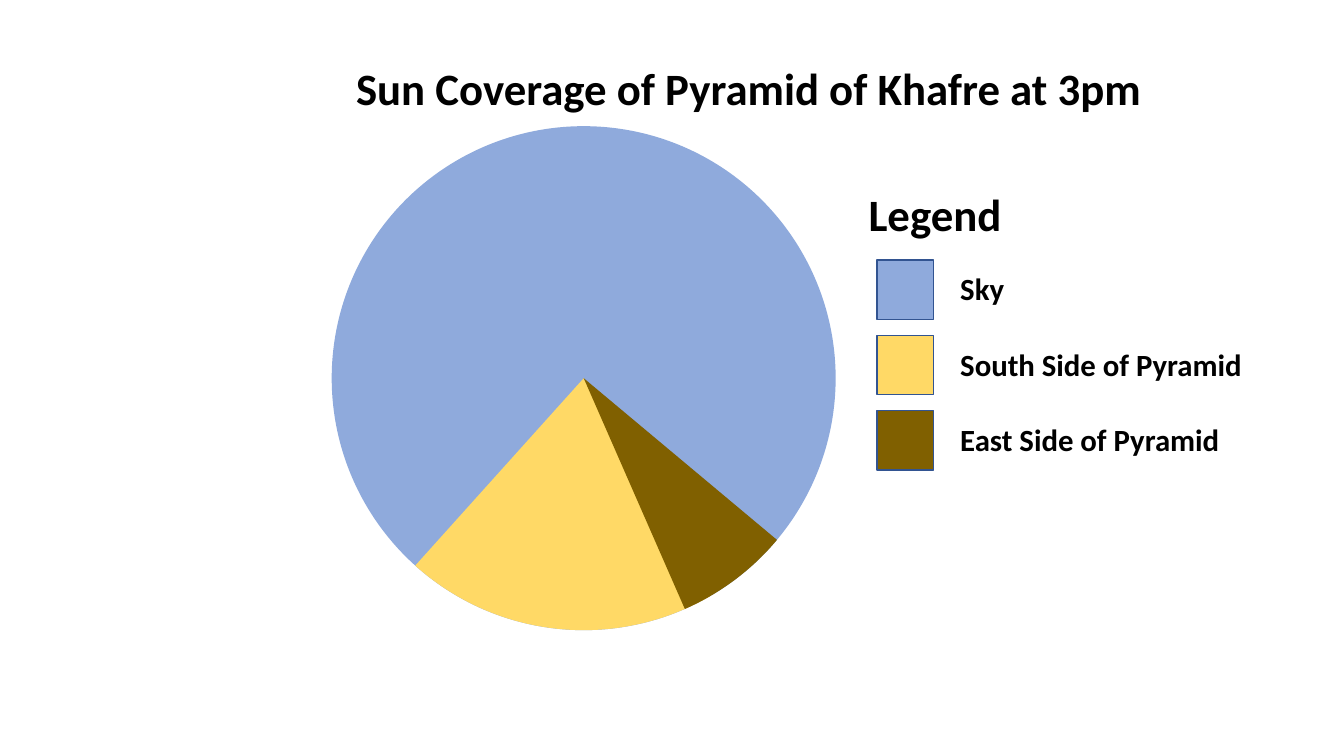
from pptx import Presentation
from pptx.dml.color import RGBColor
from pptx.enum.shapes import MSO_SHAPE
from pptx.enum.text import MSO_AUTO_SIZE, PP_ALIGN
from pptx.util import Cm, Pt

SKY, SOUTH, EAST = "8FAADC", "FFD966", "806000"
EDGE, INK = "325491", "000000"


def tint(code):
    return RGBColor.from_string(code)


class Board:
    font = "Calibri"

    def __init__(self, slide):
        self.slide = slide
        self.place = slide.shapes

    def group(self):
        self.place = self.slide.shapes.add_group_shape().shapes

    def leave(self):
        self.place = self.slide.shapes

    def shape(self, kind, left, top, width, height, fill, edge=None):
        item = self.place.add_shape(kind, Cm(left), Cm(top), Cm(width), Cm(height))
        item.shadow.inherit = False
        item.fill.solid()
        item.fill.fore_color.rgb = tint(fill)
        if edge:
            item.line.color.rgb = tint(edge)
            item.line.width = Pt(1)
        else:
            item.line.fill.background()
        return item

    def wedge(self, left, top, size, fill, start, end, turn):
        item = self.shape(MSO_SHAPE.PIE, left, top, size, size, fill)
        item.rotation = turn
        for spot, angle in enumerate((start, end)):
            item.adjustments[spot] = angle * 0.6

    def text(self, left, top, width, height, words, size, align=PP_ALIGN.LEFT):
        box = self.place.add_textbox(Cm(left), Cm(top), Cm(width), Cm(height))
        frame = box.text_frame
        frame.word_wrap = False
        frame.auto_size = MSO_AUTO_SIZE.SHAPE_TO_FIT_TEXT
        line = frame.paragraphs[0]
        line.alignment = align
        run = line.add_run()
        run.text = words
        run.font.name = self.font
        run.font.size = Pt(size)
        run.font.bold = True
        run.font.color.rgb = tint(INK)


deck = Presentation()
deck.slide_width, deck.slide_height = Cm(33.87), Cm(19.05)
board = Board(deck.slides.add_slide(deck.slide_layouts[6]))

left, top, size, turn = 8.36, 3.18, 12.7, 56.8
board.shape(MSO_SHAPE.OVAL, left, top, size, size, SKY)
board.wedge(left, top, size, SOUTH, 2.9, 75.15, turn)
board.wedge(left, top, size, EAST, 343.12, 9.53, turn)

board.group()
keys = [
    ("Sky", SKY, 1.63),
    ("South Side of Pyramid", SOUTH, 7.7),
    ("East Side of Pyramid", EAST, 7.11),
]
for row, (name, fill, width) in enumerate(keys):
    y = 6.55 + row * 1.9
    board.shape(MSO_SHAPE.RECTANGLE, 22.1, y, 1.42, 1.5, fill, EDGE)
    board.text(23.95, y + 0.13, width, 1.19, name, 22)
board.leave()

board.text(8.64, 1.4, 20.47, 1.63, "Sun Coverage of Pyramid of Khafre at 3pm", 32,
           PP_ALIGN.CENTER)
board.text(21.64, 4.57, 3.86, 1.63, "Legend", 32)

deck.save("out.pptx")
